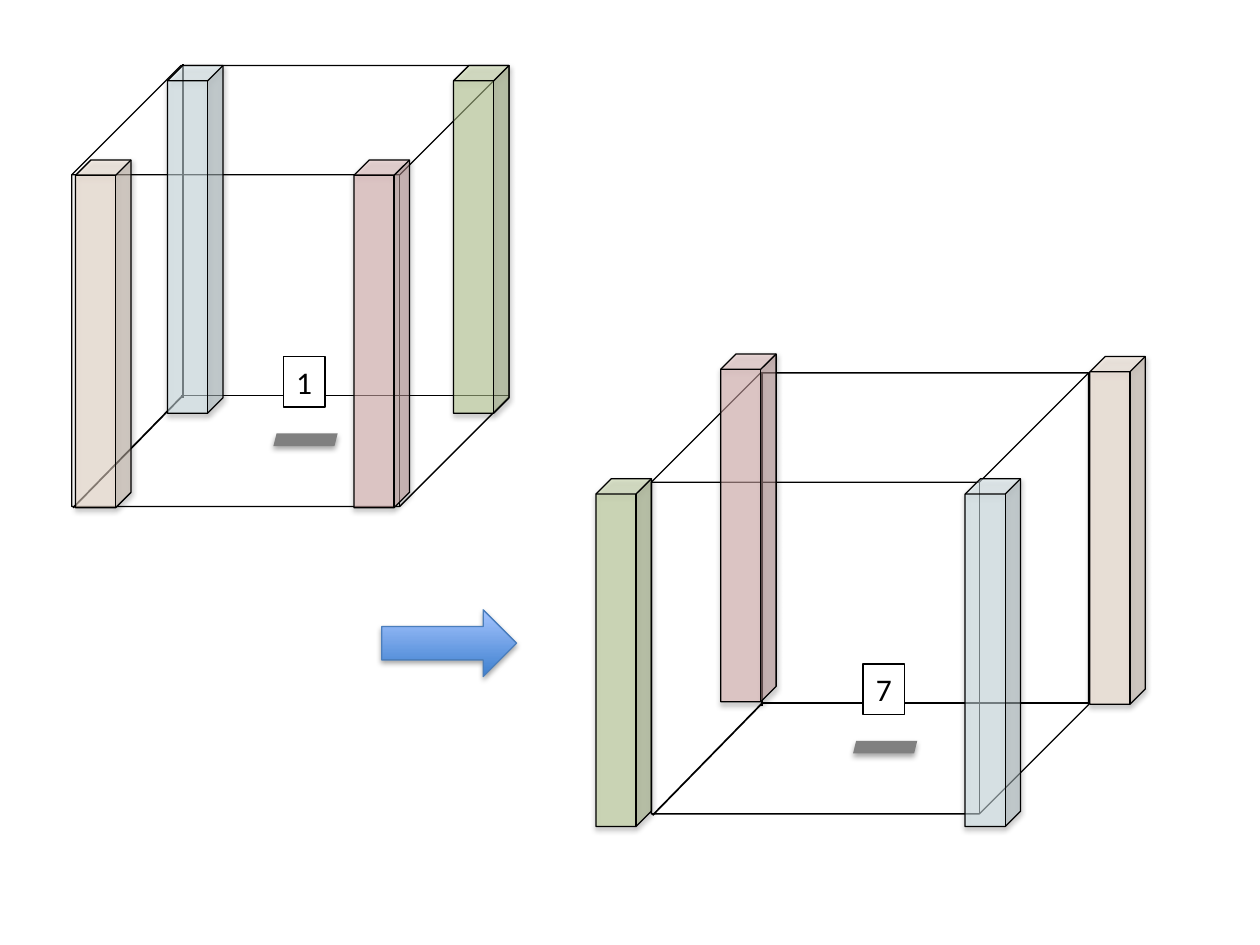
from lxml import etree
from pptx import Presentation
from pptx.dml.color import RGBColor
from pptx.enum.shapes import MSO_CONNECTOR, MSO_SHAPE
from pptx.enum.text import MSO_ANCHOR, MSO_AUTO_SIZE, PP_ALIGN
from pptx.oxml import parse_xml
from pptx.oxml.ns import qn
from pptx.util import Inches, Pt

CUBE, RECTANGLE = MSO_SHAPE.CUBE, MSO_SHAPE.RECTANGLE
PARALLELOGRAM, ARROW = MSO_SHAPE.PARALLELOGRAM, MSO_SHAPE.RIGHT_ARROW
STRAIGHT = MSO_CONNECTOR.STRAIGHT
CENTER, MIDDLE = PP_ALIGN.CENTER, MSO_ANCHOR.MIDDLE
FIT_SHAPE = MSO_AUTO_SIZE.SHAPE_TO_FIT_TEXT

BLACK, WHITE, GRAY = "000000", "FFFFFF", "808080"
CREAM, PINK, BLUE, GREEN = "FDEADA", "E6B9B8", "DBEEF4", "C3D69B"
ROOM_SIZE = (3.47, 3.5)
PILLAR_SIZE = (0.44, 2.76)
HIDDEN_EDGES = [
    ((0.88, 2.62), (0.01, 3.51)),
    ((0.88, -0.01), (0.88, 2.64)),
    ((3.47, 2.62), (0.87, 2.62)),
]
DRAWING_NS = "http://schemas.openxmlformats.org/drawingml/2006/main"
SHADOW = (
    f'<a:outerShdw xmlns:a="{DRAWING_NS}" blurRad="40000" dist="23000" '
    'dir="5400000" rotWithShape="0"><a:srgbClr val="000000">'
    '<a:alpha val="35000"/></a:srgbClr></a:outerShdw>'
)


def color(value):
    """Turn a hex string into a colour."""
    return RGBColor.from_string(value)


def add_block(shapes, kind, left, top, size, fill=None, line=None, shadow=False):
    """Add a preset shape with its fill, line and optional soft shadow."""
    block = shapes.add_shape(kind, *map(Inches, (left, top, *size)))
    if fill:
        block.fill.solid()
        block.fill.fore_color.rgb = color(fill)
    else:
        block.fill.background()
    if line:
        block.line.color.rgb = color(line)
        block.line.width = Pt(0.75)
    else:
        block.line.fill.background()
    block.shadow.inherit = False
    if shadow:
        block._element.spPr.find(qn("a:effectLst")).append(parse_xml(SHADOW))
    return block


def add_edge(shapes, start, end):
    """Add one black edge between two points."""
    edge = shapes.add_connector(STRAIGHT, *map(Inches, (*start, *end)))
    edge.line.color.rgb = color(BLACK)
    edge.line.width = Pt(1)
    etree.SubElement(edge._element.spPr, qn("a:effectLst"))


def add_frame(page, left, top):
    """Add the open cube with its three hidden edges."""
    shapes = page.shapes.add_group_shape().shapes
    add_block(shapes, CUBE, left, top, ROOM_SIZE, line=BLACK)
    for start, end in HIDDEN_EDGES:
        add_edge(shapes, (left + start[0], top + start[1]),
                 (left + end[0], top + end[1]))


def add_marker(page, left, top, number):
    """Add the numbered sign and the grey plate below it."""
    shapes = page.shapes.add_group_shape().shapes
    sign = add_block(shapes, RECTANGLE, left + 0.08, top, (0.33, 0.4), WHITE, BLACK)
    frame = sign.text_frame
    frame.word_wrap = False
    frame.auto_size = FIT_SHAPE
    frame.vertical_anchor = MIDDLE
    para = frame.paragraphs[0]
    para.text = number
    para.alignment = CENTER
    para.font.name = "Calibri"
    para.font.size = Pt(18)
    para.font.color.rgb = color(BLACK)
    add_block(shapes, PARALLELOGRAM, left, top + 0.61, (0.51, 0.1), GRAY, shadow=True)


def add_pillar(page, left, top, fill):
    """Add a translucent pillar."""
    pillar = add_block(page.shapes, CUBE, left, top, PILLAR_SIZE, fill, BLACK, True)
    pillar.adjustments[0] = 0.277
    tint = pillar._element.spPr.find(qn("a:solidFill"))[0]
    etree.SubElement(tint, qn("a:alpha"), val="52000")


def add_room(page, left, top, number, pillars):
    """Add a room; pillar offsets are measured from its top left corner."""
    add_frame(page, left, top)
    add_marker(page, left + 1.6, top + 2.31, number)
    for across, down, fill in pillars:
        add_pillar(page, left + across, top + down, fill)


def add_arrow(page, left, top):
    """Add the gradient arrow between the rooms."""
    arrow = add_block(page.shapes, ARROW, left, top, (1.07, 0.53),
                      line="4B7EBC", shadow=True)
    arrow.fill.gradient()
    arrow.fill.gradient_angle = 90
    for stop, position, value in zip(arrow.fill.gradient_stops, (0, 1),
                                     ("3F80CE", "A4C4FF")):
        stop.position = position
        stop.color.rgb = color(value)


def main():
    """Build the slide and save it."""
    deck = Presentation()
    deck.slide_width, deck.slide_height = Inches(10), Inches(7.5)
    page = deck.slides.add_slide(deck.slide_layouts[6])
    add_room(page, 0.57, 0.52, "1", [
        (0.03, 0.75, CREAM), (2.24, 0.75, PINK),
        (0.76, 0, BLUE), (3.03, 0, GREEN),
    ])
    add_arrow(page, 3.03, 4.84)
    add_room(page, 5.17, 2.96, "7", [
        (-0.44, 0.84, GREEN), (0.55, -0.15, PINK),
        (3.48, -0.13, CREAM), (2.49, 0.84, BLUE),
    ])
    deck.save("out.pptx")


main()
